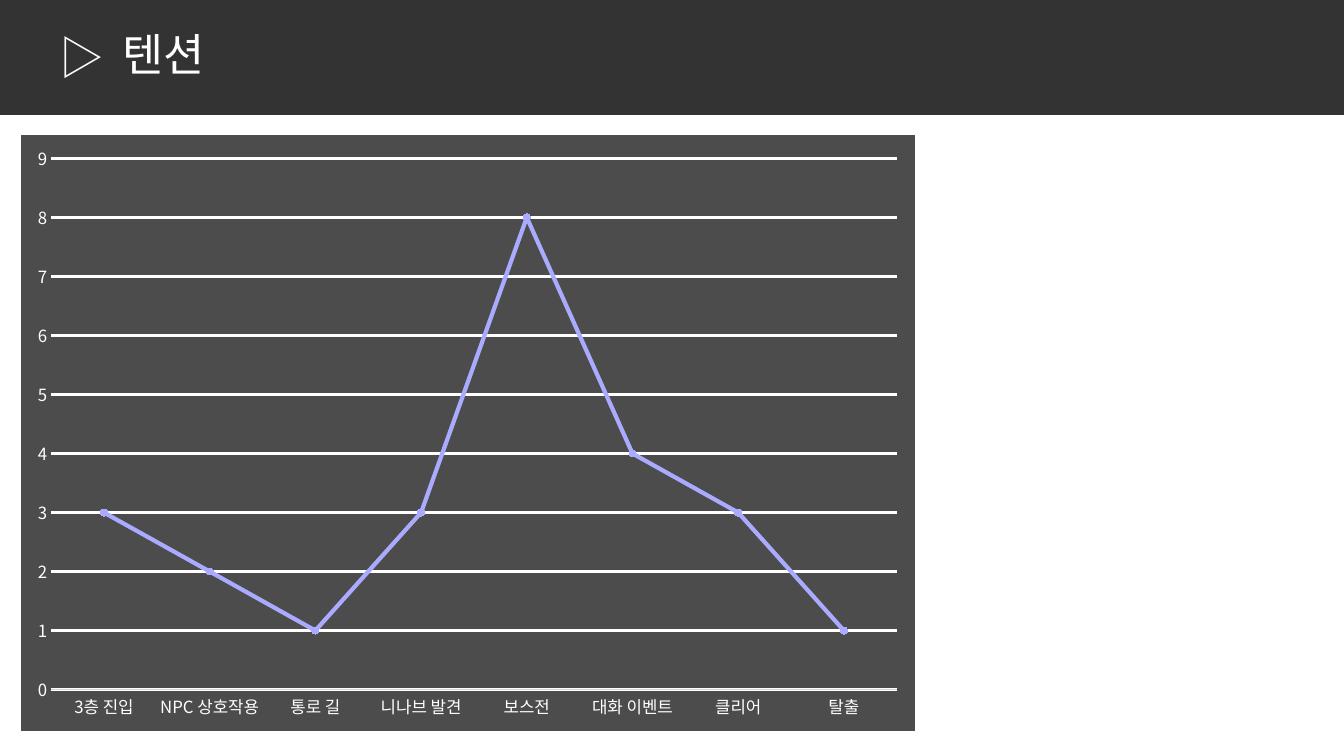
from lxml.etree import SubElement
from pptx import Presentation
from pptx.chart.data import CategoryChartData
from pptx.dml.color import RGBColor
from pptx.enum.chart import XL_CHART_TYPE, XL_MARKER_STYLE, XL_TICK_MARK
from pptx.enum.shapes import MSO_SHAPE
from pptx.enum.text import MSO_ANCHOR, PP_ALIGN
from pptx.oxml import parse_xml
from pptx.oxml.ns import nsdecls, qn
from pptx.util import Pt

FACE = "Noto Sans CJK KR"
TITLE = "텐션"
STEPS = [
    ("3층 진입", 3), ("NPC 상호작용", 2), ("통로 길", 1), ("니나브 발견", 3),
    ("보스전", 8), ("대화 이벤트", 4), ("클리어", 3), ("탈출", 1),
]
WIDE, HIGH = 960, 540
BAR = 82
CHART = (14.4, 95.8, 640, 427)
PLOT = {"x": 0.034, "y": 0.04, "w": 0.945, "h": 0.89}
WHITE, LILAC, GRAY = "FFFFFF", "AAABFE", "D9D9D9"


def paint(color, code):
    color.rgb = RGBColor.from_string(code)


def fill(part, code):
    part.fill.solid()
    paint(part.fill.fore_color, code)


def stroke(line, code, width):
    fill(line, code)
    line.width = Pt(width)


def style(font, size, code):
    font.name = FACE
    font.size = Pt(size)
    font.bold = False
    paint(font.color, code)
    props = font._element
    for old in props.findall(qn("a:ea")):
        props.remove(old)
    props.find(qn("a:latin")).addnext(
        parse_xml(f'<a:ea {nsdecls("a")} typeface="{FACE}"/>'))


def add_title(slide):
    bar = slide.shapes.add_shape(MSO_SHAPE.RECTANGLE, 0, 0, Pt(WIDE), Pt(BAR))
    bar.shadow.inherit = False
    fill(bar, "000000")
    tint = bar._element.spPr.find(qn("a:solidFill"))[0]
    SubElement(tint, qn("a:alpha")).set("val", "80000")
    bar.line.fill.background()
    frame = bar.text_frame
    frame.word_wrap = True
    frame.vertical_anchor = MSO_ANCHOR.MIDDLE
    frame.margin_left = Pt(42.5)
    para = frame.paragraphs[0]
    para.text = TITLE
    para.alignment = PP_ALIGN.LEFT
    para.line_spacing = 0.9
    props = para._p.get_or_add_pPr()
    props.set("marL", str(Pt(45)))
    props.set("indent", str(-Pt(45)))
    SubElement(props, qn("a:buFont")).set("typeface", FACE)
    SubElement(props, qn("a:buChar")).set("char", "▷")
    style(para.font, 32, WHITE)


def add_plot(slide):
    data = CategoryChartData()
    data.categories = [name for name, _ in STEPS]
    data.add_series("Series 1", [value for _, value in STEPS])
    frame = slide.shapes.add_chart(
        XL_CHART_TYPE.LINE_MARKERS, *map(Pt, CHART), data)
    chart = frame.chart
    chart.has_legend = False
    chart.has_title = False
    style(chart.font, 10, "000000")

    cats, vals = chart.category_axis, chart.value_axis
    for axis in (cats, vals):
        axis.major_tick_mark = XL_TICK_MARK.NONE
        axis.minor_tick_mark = XL_TICK_MARK.NONE
        style(axis.tick_labels.font, 12, WHITE)
    stroke(cats.format.line, GRAY, 0.75)
    vals.format.line.fill.background()
    vals.minimum_scale, vals.maximum_scale, vals.major_unit = 0, 9, 1
    vals.has_major_gridlines = True
    stroke(vals.major_gridlines.format.line, WHITE, 2.5)

    plot = chart.plots[0]
    plot.vary_by_categories = False
    line = plot.series[0]
    line.smooth = False
    stroke(line.format.line, LILAC, 3)
    line.marker.style = XL_MARKER_STYLE.CIRCLE
    line.marker.size = 5
    fill(line.marker.format, LILAC)
    stroke(line.marker.format.line, LILAC, 0.75)

    root = chart._chartSpace.find(qn("c:chart"))
    root.addnext(parse_xml(
        f'<c:spPr {nsdecls("c", "a")}><a:solidFill><a:srgbClr val="000000">'
        '<a:alpha val="70000"/></a:srgbClr></a:solidFill>'
        f'<a:ln w="{Pt(0.75)}"><a:solidFill><a:srgbClr val="{WHITE}"/>'
        '</a:solidFill></a:ln></c:spPr>'))
    area = root.find(qn("c:plotArea"))
    for old in area.findall(qn("c:layout")):
        area.remove(old)
    rules = [("layoutTarget", "inner"), ("xMode", "edge"), ("yMode", "edge")]
    body = "".join(f'<c:{k} val="{v}"/>' for k, v in rules + list(PLOT.items()))
    area.insert(0, parse_xml(
        f'<c:layout {nsdecls("c")}><c:manualLayout>{body}'
        '</c:manualLayout></c:layout>'))


def main():
    deck = Presentation()
    deck.slide_width, deck.slide_height = Pt(WIDE), Pt(HIGH)
    slide = deck.slides.add_slide(deck.slide_layouts[6])
    fill(slide.background, WHITE)
    add_title(slide)
    add_plot(slide)
    deck.save("out.pptx")


if __name__ == "__main__":
    main()
